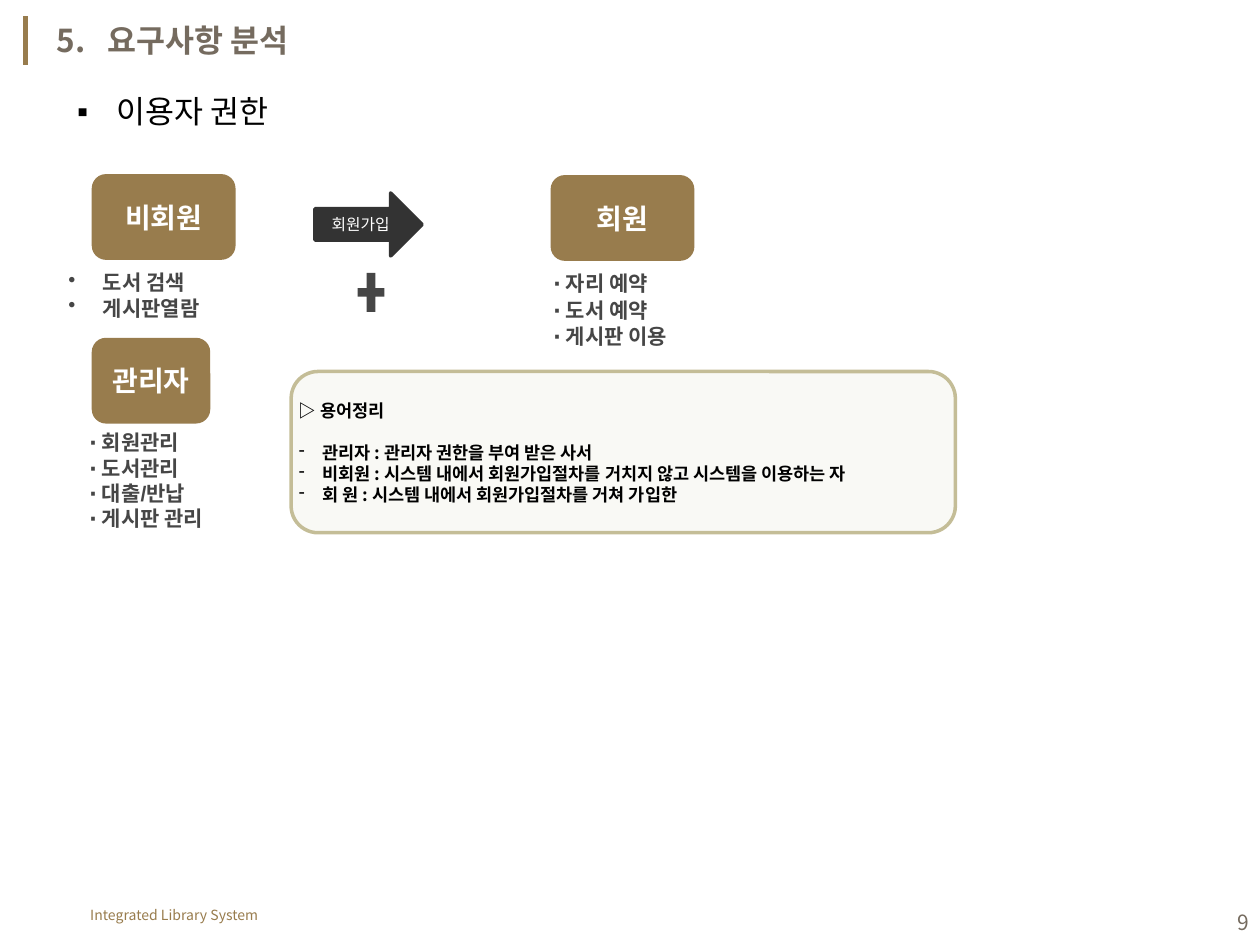
"""Builds the user-permission slide of the library system requirements."""
import pptx
import pptx.dml.color
import pptx.enum.shapes
import pptx.enum.text
import pptx.oxml
import pptx.oxml.ns
import pptx.util
from pptx.util import Cm

RGBColor = pptx.dml.color.RGBColor
BROWN = RGBColor(0x98, 0x7C, 0x4D)
TAUPE = RGBColor(0x75, 0x6B, 0x5F)
CHARCOAL = RGBColor(0x33, 0x33, 0x33)
GREY = RGBColor(0x46, 0x46, 0x46)
SAND = RGBColor(0xC4, 0xBD, 0x97)
IVORY = RGBColor(0xEE, 0xEC, 0xE1)
WHITE = RGBColor(0xFF, 0xFF, 0xFF)
BLACK = RGBColor(0, 0, 0)

SANS = "Noto Sans CJK KR"
SHAPE = pptx.enum.shapes.MSO_SHAPE
ALIGN = pptx.enum.text.PP_ALIGN
ANCHOR = pptx.enum.text.MSO_ANCHOR


class PermissionPage:
    def __init__(self, page, font):
        self.page = page
        self.font = font

    def element(self, tag):
        return pptx.oxml.parse_xml(f'<a:{tag} {pptx.oxml.ns.nsdecls("a")}/>')

    def span(self, para, text, size, color, bold=False, font=None):
        span = para.add_run()
        span.text = text
        span.font.size = pptx.util.Pt(size)
        span.font.bold = bold
        span.font.color.rgb = color
        span.font.name = font or self.font
        latin = span.font._element.find(pptx.oxml.ns.qn("a:latin"))
        latin.addnext(self.element(f'ea typeface="{self.font}"'))

    def para(self, frame, first, align=ALIGN.LEFT, pitch=None, before=0):
        para = frame.paragraphs[0] if first else frame.add_paragraph()
        para.alignment = align
        para.space_before = pptx.util.Pt(before)
        if pitch:
            para.line_spacing = pptx.util.Pt(pitch)
        return para

    def hang(self, para, margin, indent, bullet=None):
        properties = para._p.get_or_add_pPr()
        properties.set("marL", str(Cm(margin)))
        properties.set("indent", str(Cm(indent)))
        tag = f'buChar char="{bullet}"' if bullet else "buNone"
        properties.append(self.element(tag))

    def placeholder(self, index, place, text, color, bold, margin, bullet=None):
        box = self.page.placeholders[index]
        box.left, box.top, box.width, box.height = map(Cm, place)
        frame = box.text_frame
        frame.auto_size = pptx.enum.text.MSO_AUTO_SIZE.NONE
        frame.vertical_anchor = ANCHOR.MIDDLE
        para = self.para(frame, True)
        self.hang(para, margin, -margin, bullet)
        self.span(para, text, 18, color, bold)

    def text_box(self, place):
        frame = self.page.shapes.add_textbox(*map(Cm, place)).text_frame
        frame.word_wrap = True
        frame.vertical_anchor = ANCHOR.MIDDLE
        return frame

    def rights(self, place, items, pitch, bullet=None):
        frame = self.text_box(place)
        for number, item in enumerate(items):
            para = self.para(frame, number == 0, pitch=pitch)
            if bullet:
                self.hang(para, 0.79, -0.6, bullet)
            self.span(para, item, 12, GREY, True, "Arial")

    def shape(self, kind, place, fill, line=None):
        box = self.page.shapes.add_shape(kind, *map(Cm, place))
        box.shadow.inherit = False
        box.fill.solid()
        box.fill.fore_color.rgb = fill
        if line is None:
            box.line.fill.background()
        else:
            box.line.color.rgb = line
            box.line.width = pptx.util.Pt(2)
        frame = box.text_frame
        frame.margin_left = frame.margin_right = 0
        frame.margin_top = frame.margin_bottom = 0
        frame.vertical_anchor = ANCHOR.MIDDLE
        return box

    def label(self, box, text, size, color, bold=True):
        para = self.para(box.text_frame, True, ALIGN.CENTER)
        self.span(para, text, size, color, bold)

    def bar(self, left, top, bottom):
        line = self.page.shapes.add_connector(
            pptx.enum.shapes.MSO_CONNECTOR.STRAIGHT,
            Cm(left), Cm(top), Cm(left), Cm(bottom))
        line.line.color.rgb = BROWN
        line.line.width = pptx.util.Pt(3)
        line._element.spPr.append(self.element("effectLst"))

    def glossary(self, place, heading, terms):
        box = self.shape(SHAPE.ROUNDED_RECTANGLE, place, IVORY, SAND)
        color = box._element.spPr.find(".//" + pptx.oxml.ns.qn("a:srgbClr"))
        color.append(self.element('alpha val="30000"'))
        frame = box.text_frame
        self.span(self.para(frame, True, pitch=12), heading, 10, BLACK, True)
        for number, term in enumerate(terms):
            para = self.para(frame, False, pitch=12, before=0 if number else 12)
            self.hang(para, 0.48, -0.48, "-")
            self.span(para, term, 10, BLACK, True)

    def footer(self, system, number):
        frame = self.text_box((1.57, 18.14, 4.5, 0.61))
        self.span(self.para(frame, True), system, 8, BROWN)
        frame = self.text_box((19.51, 18.08, 5.92, 1.02))
        self.span(self.para(frame, True, ALIGN.RIGHT), number, 12, TAUPE)


def main():
    deck = pptx.Presentation()
    deck.slide_width, deck.slide_height = Cm(25.4), Cm(19.05)
    page = PermissionPage(deck.slides.add_slide(deck.slide_layouts[1]), SANS)
    page.bar(0.51, 0.33, 1.32)
    page.footer("Integrated Library System", "9")
    page.placeholder(0, (0.89, 0.3, 6.2, 1.02), "5.\t요구사항 분석", TAUPE, True, 1.02)
    page.placeholder(1, (1.3, 1.73, 4.42, 1.02), "이용자 권한", BLACK, False, 0.79, "▪")
    for role, left, top, width in (("비회원", 1.85, 3.51, 2.9),
                                   ("회원", 11.1, 3.53, 2.9),
                                   ("관리자", 1.85, 6.81, 2.39)):
        box = page.shape(SHAPE.ROUNDED_RECTANGLE, (left, top, width, 1.73), BROWN)
        page.label(box, role, 16, WHITE)
    arrow = page.shape(SHAPE.RIGHT_ARROW, (6.35, 3.89, 2.16, 1.27), CHARCOAL, CHARCOAL)
    page.label(arrow, "회원가입", 9, WHITE, False)
    page.shape(SHAPE.MATH_PLUS, (7.11, 5.36, 0.74, 1.07), GREY)
    page.rights((0.94, 5.31, 3.96, 1.27), (" 도서 검색", " 게시판열람"), 14.5, "•")
    page.rights((10.9, 5.31, 3.28, 1.85),
                ("∙ 자리 예약", "∙ 도서 예약", "∙ 게시판 이용"), 15)
    page.rights((1.55, 8.53, 3.96, 2.31),
                ("∙ 회원관리", "∙ 도서관리", "∙ 대출/반납", "∙ 게시판 관리"), 14.5)
    page.glossary((5.87, 7.49, 13.39, 3.25), "▷ 용어정리", (
        "관리자 : 관리자 권한을 부여 받은 사서",
        "비회원 : 시스템 내에서 회원가입절차를 거치지 않고 시스템을 이용하는 자",
        "회 원 : 시스템 내에서 회원가입절차를 거쳐 가입한"))
    deck.save("out.pptx")


if __name__ == "__main__":
    main()
